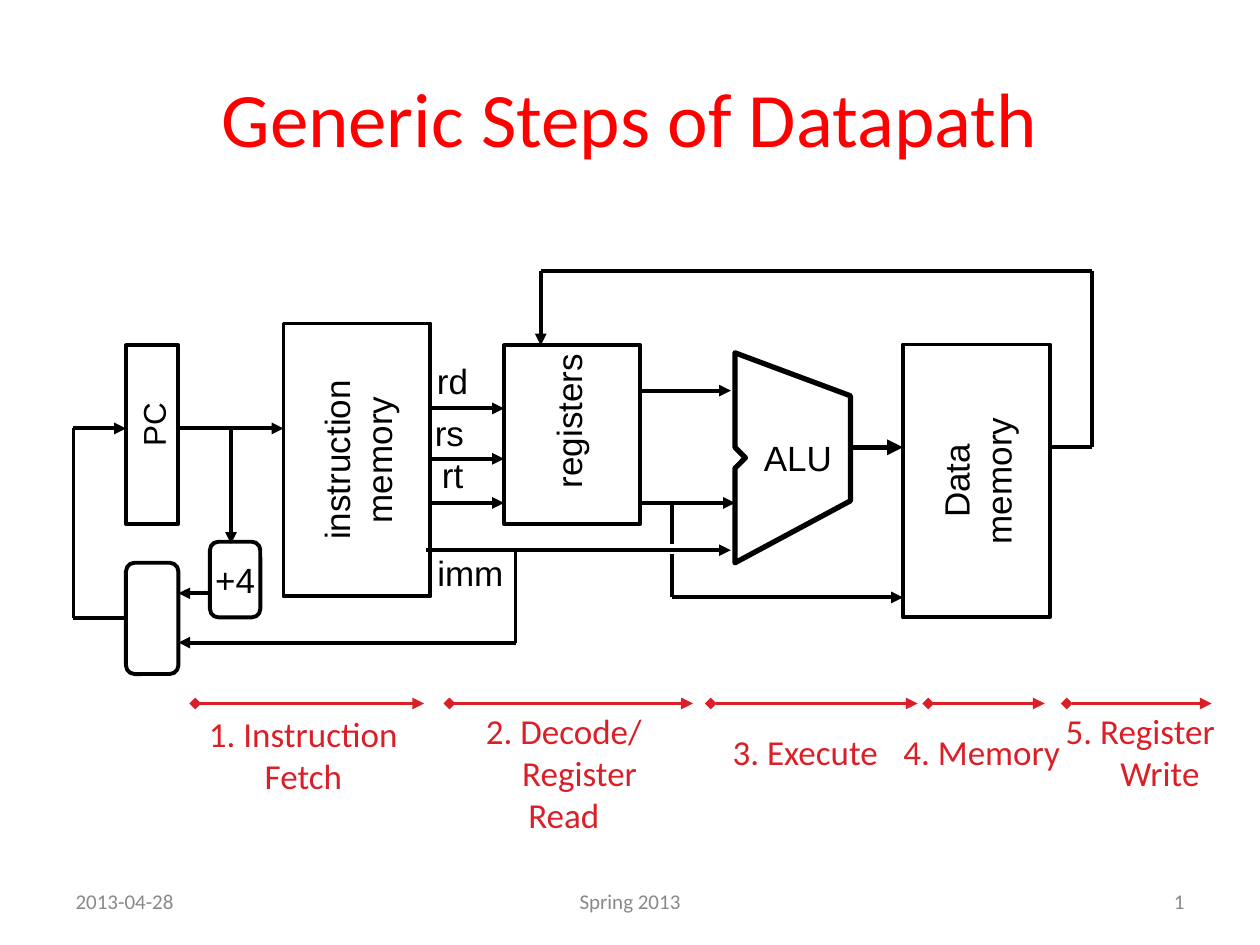
from itertools import pairwise

from lxml.etree import SubElement
from pptx import Presentation
from pptx.dml.color import RGBColor
from pptx.enum.shapes import MSO_CONNECTOR, MSO_SHAPE
from pptx.enum.text import MSO_ANCHOR, PP_ALIGN
from pptx.oxml.ns import qn
from pptx.util import Inches, Pt

CELL = Inches(1 / 12)
BLACK, WHITE, RED, STEP_RED, GREY = "000000", "FFFFFF", "FF0000", "DA1F28", "898989"


def grid(cells):
    return round(cells * CELL)


def color(hex_code):
    return RGBColor.from_string(hex_code)


def outline(shape, weight=2.25, ink=BLACK):
    shape.line.color.rgb = color(ink)
    shape.line.width = Pt(weight)


def write(shape, lines, size, font, ink, align=PP_ALIGN.CENTER, wrap=False, shifts=()):
    frame = shape.text_frame
    frame.margin_left = frame.margin_right = frame.margin_top = frame.margin_bottom = 0
    frame.vertical_anchor = MSO_ANCHOR.MIDDLE
    frame.word_wrap = wrap
    frame.text = "\n".join(lines)
    for para in frame.paragraphs:
        para.alignment = align
        para.font.size = Pt(size)
        para.font.name = font
        para.font.color.rgb = color(ink)
    for index, cells in shifts:
        frame.paragraphs[index]._p.get_or_add_pPr().set("marL", str(grid(cells)))


def add_label(page, column, row, width, height, lines, size=20, font="Arial",
              ink=BLACK, turn=0, **style):
    box = page.shapes.add_textbox(grid(column - width / 2), grid(row - height / 2),
                                  grid(width), grid(height))
    box.rotation = turn
    write(box, lines, size, font, ink, **style)


def add_block(page, column, row, width, height, lines=(), rounded=False, turn=0):
    center_column, center_row = column + width / 2, row + height / 2
    if turn:
        width, height = height, width
    kind = MSO_SHAPE.ROUNDED_RECTANGLE if rounded else MSO_SHAPE.RECTANGLE
    block = page.shapes.add_shape(kind, grid(center_column - width / 2),
                                  grid(center_row - height / 2), grid(width), grid(height))
    block.rotation = turn
    block.shadow.inherit = False
    block.fill.solid()
    block.fill.fore_color.rgb = color(WHITE)
    outline(block)
    if lines:
        write(block, lines, 20, "Arial", BLACK)
    return block


def add_line(page, start, end, weight=2.25, ink=BLACK, head=None, tail=None):
    line = page.shapes.add_connector(MSO_CONNECTOR.STRAIGHT, *map(grid, start + end))
    outline(line, weight, ink)
    stroke = line.line._get_or_add_ln()
    for tag, kind in (("a:headEnd", head), ("a:tailEnd", tail)):
        if kind:
            SubElement(stroke, qn(tag), type=kind)
    SubElement(line._element.spPr, qn("a:effectLst"))
    return line


def add_wire(page, *points, arrow=True, weight=2.25):
    lines = [add_line(page, start, end, weight,
                      tail="triangle" if arrow and end == points[-1] else None)
             for start, end in pairwise(points)]
    return lines[0]


def add_alu(page):
    corners = [(81, 37.7), (81, 47.7), (70, 53.6), (70, 44.6), (71, 43.6), (70, 42.6)]
    builder = page.shapes.build_freeform(grid(70), grid(33.6), scale=1.0)
    builder.add_line_segments([(grid(x), grid(y)) for x, y in corners], close=True)
    alu = builder.convert_to_shape()
    alu.shadow.inherit = False
    alu.fill.background()
    outline(alu, 3)
    add_label(page, 76, 43.6, 9, 5, ["ALU"])


def add_step(page, start, end, column, row, lines, shifts=()):
    add_line(page, (start, 67), (end, 67), ink=STEP_RED, head="diamond", tail="triangle")
    add_label(page, column, row, 19, 4 * len(lines), lines, font="Calibri",
              ink=STEP_RED, shifts=shifts)


def add_blocks(page):
    add_block(page, 12, 32.9, 5, 17)
    add_label(page, 14.6, 40.4, 6.6, 4.8, ["PC"], size=18, turn=270)
    add_block(page, 27, 30.8, 14, 26, ["instruction", "memory"], turn=270)
    add_block(page, 20, 51.6, 4.8, 7.2, ["+4"], rounded=True)
    add_block(page, 48, 32.9, 13, 17)
    add_label(page, 54.1, 40.1, 15, 5, ["registers"], turn=270)
    add_alu(page)
    add_block(page, 86, 32.8, 14, 26, ["Data", "memory"], turn=270)
    return add_block(page, 12, 53.6, 5, 10.6, rounded=True)


def add_wires(page, next_address):
    add_wire(page, (17, 40.8), (27, 40.8))
    add_wire(page, (22, 40.8), (22, 51.8))
    add_wire(page, (20, 56.5), (17, 56.5))
    for row in (38.9, 43.7, 47.9):
        add_wire(page, (41, row), (48, row))
    add_wire(page, (61, 37.2), (69.6, 37.2))
    add_wire(page, (61, 47.9), (70, 47.9))
    add_wire(page, (40.6, 52.4), (69.6, 52.4))
    add_wire(page, (49.1, 52.4), (49.1, 61.2), (17, 61.2))
    add_wire(page, (81, 42.6), (86, 42.6), weight=3)
    add_wire(page, (64, 47.9), (64, 51.8), arrow=False)
    add_wire(page, (64, 52.8), (64, 56.9), (86, 56.9))
    add_wire(page, (100, 42.6), (104, 42.6), (104, 25.8), (51.5, 25.8), (51.5, 32.9))
    feedback = add_wire(page, (12, 58.9), (7, 58.9), (7, 40.8), (12, 40.8))
    feedback.begin_connect(next_address, 1)


def main():
    deck = Presentation()
    deck.slide_width, deck.slide_height = grid(120), grid(90)
    page = deck.slides.add_slide(deck.slide_layouts[6])
    add_label(page, 60, 11.1, 108, 15, ["Generic Steps of Datapath"], 44, "Calibri",
              RED, wrap=True)
    add_wires(page, add_blocks(page))
    for column, row, name in ((43.1, 36.2, "rd"), (42.8, 41.2, "rs"),
                              (43.1, 45.2, "rt"), (44.8, 54.5, "imm")):
        add_label(page, column, row, 8.8, 5, [name])

    add_step(page, 18.6, 40.4, 28.9, 71.9, ["1. Instruction", "Fetch"])
    add_step(page, 42.8, 66, 53.7, 73.6, ["2. Decode/", "Register", "Read"], [(1, 3)])
    add_step(page, 67.7, 87.4, 76.7, 71.6, ["3. Execute"])
    add_step(page, 88.4, 99.5, 93.5, 71.6, ["4. Memory"])
    add_step(page, 101.6, 115.4, 108.6, 71.6, ["5. Register", "Write"], [(1, 3.75)])

    for column, text, align in ((20, "2013-04-28", PP_ALIGN.LEFT),
                                (60, "Spring 2013", PP_ALIGN.CENTER),
                                (100, "1", PP_ALIGN.RIGHT)):
        add_label(page, column, 85.8, 25.6, 4.8, [text], 12, "Calibri", GREY,
                  align=align, wrap=True)
    deck.save("out.pptx")


if __name__ == "__main__":
    main()
